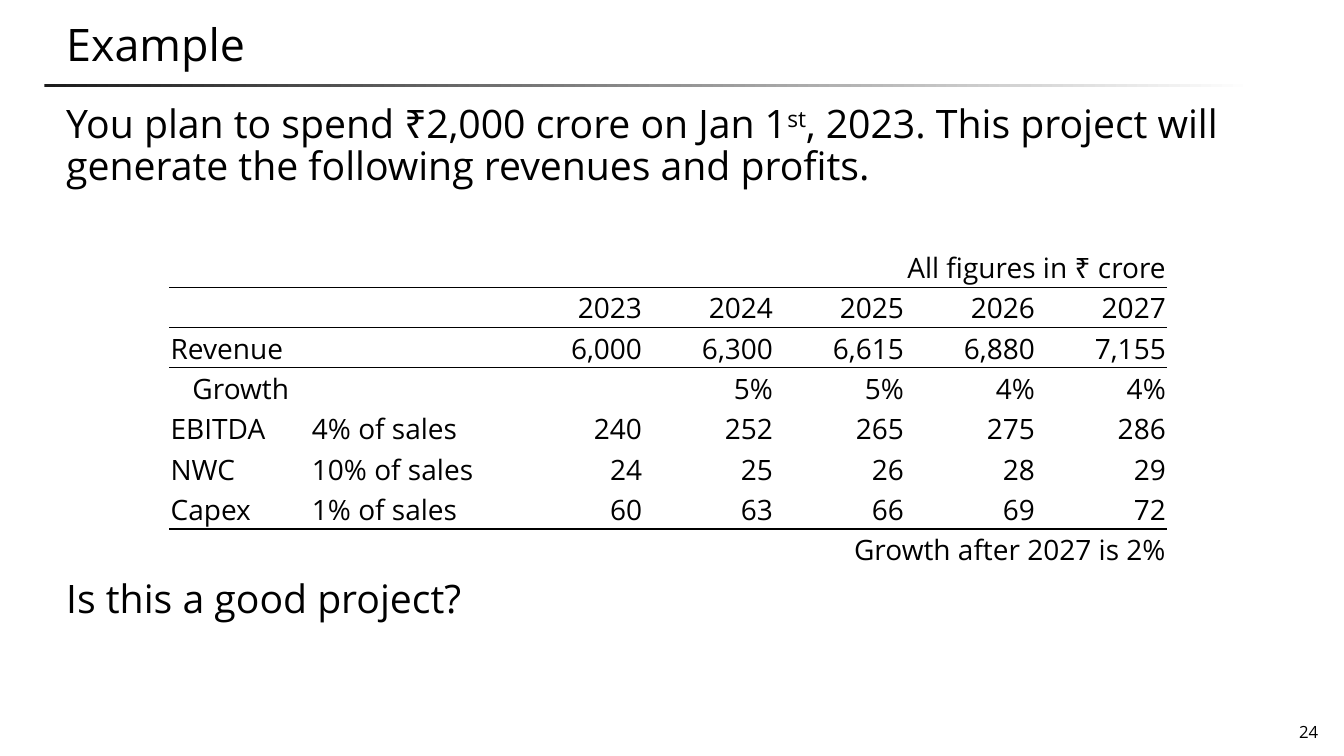
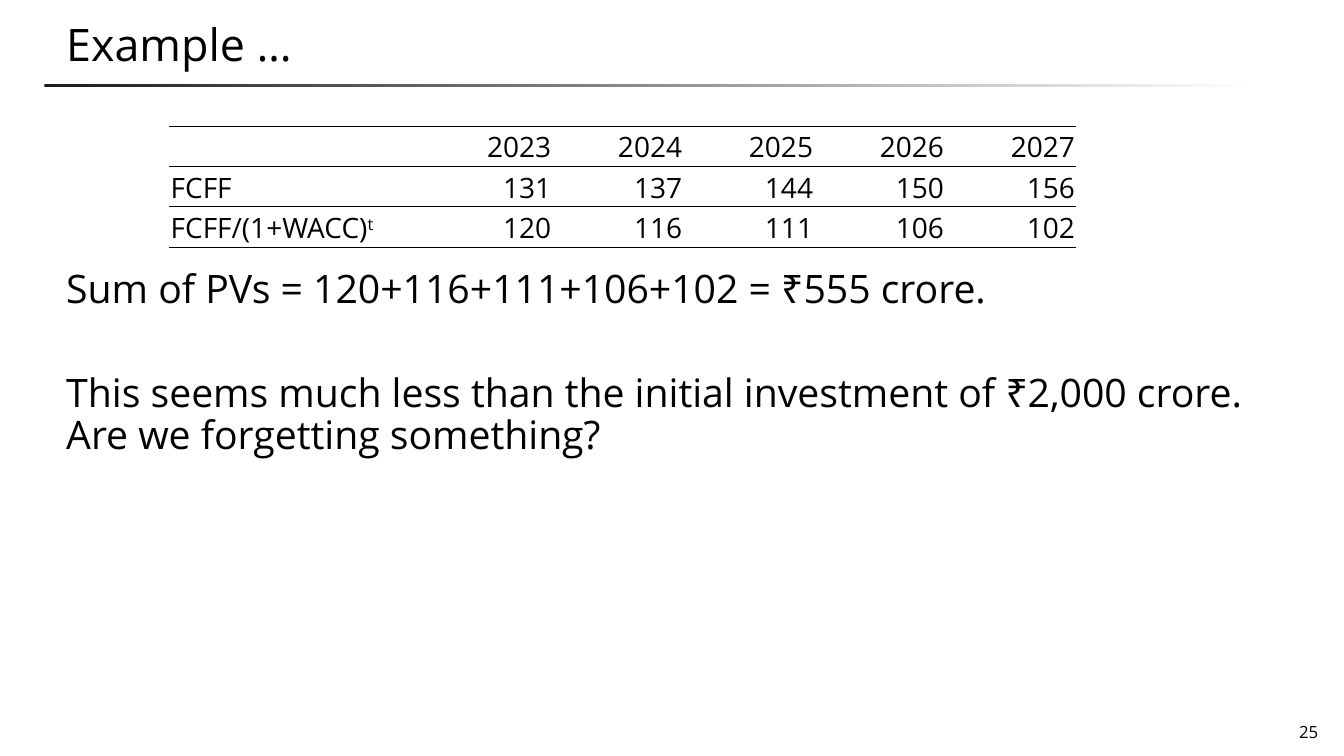
import dataclasses

import lxml.etree
import pptx
import pptx.dml.color
import pptx.enum.dml
import pptx.enum.shapes
import pptx.enum.text
import pptx.oxml.ns
import pptx.util

Cm = pptx.util.Cm
Pt = pptx.util.Pt
qn = pptx.oxml.ns.qn
ALIGN = pptx.enum.text.PP_ALIGN
ANCHOR = pptx.enum.text.MSO_ANCHOR
NO_TABLE_STYLE = "{2D5ABB26-0587-4C30-8999-92F81FD0307C}"


@dataclasses.dataclass(frozen=True)
class Theme:
    """Colours, font and type sizes shared by the slides."""
    font: str = "Open Sans"
    ink: str = "000000"
    rule: str = "1C1C1C"
    paper: str = "FFFFFF"
    title: int = 32
    body: int = 28
    table: int = 20
    number: int = 12
    body_spacing: float = 0.88
    body_gap: float = 5.6
    blank_line: float = 39.2
    border: int = 1


THEME = Theme()


def rgb(colour):
    """Turn a hex string into a colour."""
    return pptx.dml.color.RGBColor.from_string(colour)


def write(paragraph, text, size, align=ALIGN.LEFT):
    """Fill a paragraph; parts between carets are superscript."""
    paragraph.alignment = align
    paragraph.font.name = THEME.font
    paragraph.font.size = Pt(size)
    paragraph.font.color.rgb = rgb(THEME.ink)
    for index, part in enumerate(text.split("^")):
        if part:
            run = paragraph.add_run()
            run.text = part
            if index % 2:
                run._r.get_or_add_rPr().set("baseline", "30000")


def add_text_frame(slide, left, top, width, height):
    """Add a wrapping text box and return its frame."""
    frame = slide.shapes.add_textbox(Cm(left), Cm(top), Cm(width), Cm(height)).text_frame
    frame.word_wrap = True
    return frame


def add_title(slide, text):
    """Add the title and the fading rule below it."""
    frame = add_text_frame(slide, 1.42, 0.18, 31.32, 1.73)
    frame.vertical_anchor = ANCHOR.BOTTOM
    write(frame.paragraphs[0], text, THEME.title)

    rule = slide.shapes.add_shape(pptx.enum.shapes.MSO_SHAPE.RECTANGLE,
                                  Cm(1.12), Cm(2.11), Cm(30.48), Cm(0.08))
    rule.shadow.inherit = False
    rule.line.fill.background()
    rule.fill.gradient()
    rule.fill.gradient_angle = 0
    for stop, colour in zip(rule.fill.gradient_stops, (THEME.rule, THEME.paper)):
        stop.color.rgb = rgb(colour)


def add_slide_number(slide, number):
    """Add the slide number field at the lower right."""
    frame = add_text_frame(slide, 26.52, 18.06, 7.06, 0.76)
    frame.margin_right = Cm(0.36)
    paragraph = frame.paragraphs[0]
    write(paragraph, "", THEME.number, ALIGN.RIGHT)
    field = lxml.etree.SubElement(paragraph._p, qn("a:fld"), type="slidenum",
                                  id="{B6F15528-21DE-4FAA-801E-634DDDAF4B2B}")
    lxml.etree.SubElement(field, qn("a:rPr"), lang="en-US")
    lxml.etree.SubElement(field, qn("a:t")).text = str(number)


def add_body(slide, paragraphs):
    """Add body text from (blank lines before, text) pairs."""
    frame = add_text_frame(slide, 1.42, 2.54, 31.32, 15.04)
    for index, (blank_lines, text) in enumerate(paragraphs):
        gap = blank_lines * THEME.blank_line
        if index:
            paragraph = frame.add_paragraph()
            paragraph.space_before = Pt(THEME.body_gap + gap)
        else:
            paragraph = frame.paragraphs[0]
            frame.margin_top += Pt(gap)
        paragraph.line_spacing = THEME.body_spacing
        write(paragraph, text, THEME.body)


def add_border(cell, side):
    """Draw one horizontal border, 'a:lnT' or 'a:lnB', of a cell."""
    properties = cell._tc.get_or_add_tcPr()
    line = lxml.etree.Element(qn(side), w=str(Pt(THEME.border)))
    fill = lxml.etree.SubElement(line, qn("a:solidFill"))
    lxml.etree.SubElement(fill, qn("a:srgbClr"), val=THEME.ink)
    properties.insert(len(properties.findall(qn("a:lnT"))), line)


def add_figures(slide, top, widths, rows, ruled, label_columns, indented=(), notes=()):
    """Add a table; ruled holds the row boundaries that carry a line.

    Rows in notes are merged over their last three columns."""
    table = slide.shapes.add_table(len(rows), len(widths), Cm(4.27), Cm(top),
                                   Cm(sum(widths)), Cm(1.016 * len(rows))).table
    table.first_row = table.horz_banding = False
    table._tbl.tblPr.find(qn("a:tableStyleId")).text = NO_TABLE_STYLE
    for column, width in zip(table.columns, widths):
        column.width = Cm(width)
    for r, texts in enumerate(rows):
        for c, text in enumerate(texts):
            cell = table.cell(r, c)
            cell.margin_left = cell.margin_right = cell.margin_top = Cm(0.03)
            cell.margin_bottom = 0
            cell.vertical_anchor = ANCHOR.MIDDLE
            cell.fill.solid()
            cell.fill.fore_color.rgb = rgb(THEME.paper)
            if text in indented:
                cell.margin_left = Cm(0.58)
            write(cell.text_frame.paragraphs[0], text, THEME.table,
                  ALIGN.LEFT if c < label_columns else ALIGN.RIGHT)
            if r in ruled:
                add_border(cell, "a:lnT")
            if r + 1 in ruled:
                add_border(cell, "a:lnB")
    for r in notes:
        table.cell(r, len(widths) - 3).merge(table.cell(r, len(widths) - 1))


def add_slide(deck, number, title, paragraphs):
    """Add a slide with title, body text and number."""
    slide = deck.slides.add_slide(deck.slide_layouts[6])
    add_title(slide, title)
    add_slide_number(slide, number)
    add_body(slide, paragraphs)
    return slide


def main():
    """Build and save the two slides."""
    deck = pptx.Presentation()
    deck.slide_width, deck.slide_height = Cm(33.87), Cm(19.05)
    first_number = 24
    deck.element.set("firstSlideNum", str(first_number))
    years = ["2023", "2024", "2025", "2026", "2027"]
    year_widths = [3.3] * len(years)

    project = add_slide(deck, first_number, "Example", [
        (0, "You plan to spend ₹2,000 crore on Jan 1^st^, 2023. This project will "
            "generate the following revenues and profits."),
        (7, "Is this a good project?"),
    ])
    add_figures(project, 6.22, [3.56, 5.08] + year_widths, [
        ["", "", "", "", "All figures in ₹ crore", "", ""],
        ["", ""] + years,
        ["Revenue", "", "6,000", "6,300", "6,615", "6,880", "7,155"],
        ["Growth", "", "", "5%", "5%", "4%", "4%"],
        ["EBITDA", "4% of sales", "240", "252", "265", "275", "286"],
        ["NWC", "10% of sales", "24", "25", "26", "28", "29"],
        ["Capex", "1% of sales", "60", "63", "66", "69", "72"],
        ["", "", "", "", "Growth after 2027 is 2%", "", ""],
    ], ruled=(1, 2, 7), label_columns=2, indented=("Growth",), notes=(0, 7))

    valuation = add_slide(deck, first_number + 1, "Example …", [
        (3, "Sum of PVs = 120+116+111+106+102 = ₹555 crore."),
        (1, "This seems much less than the initial investment of ₹2,000 crore. "
            "Are we forgetting something?"),
    ])
    add_figures(valuation, 3.18, [6.35] + year_widths, [
        [""] + years,
        ["FCFF", "131", "137", "144", "150", "156"],
        ["FCFF/(1+WACC)^t^", "120", "116", "111", "106", "102"],
    ], ruled=(0, 1, 3), label_columns=1)

    deck.save("out.pptx")


if __name__ == "__main__":
    main()
